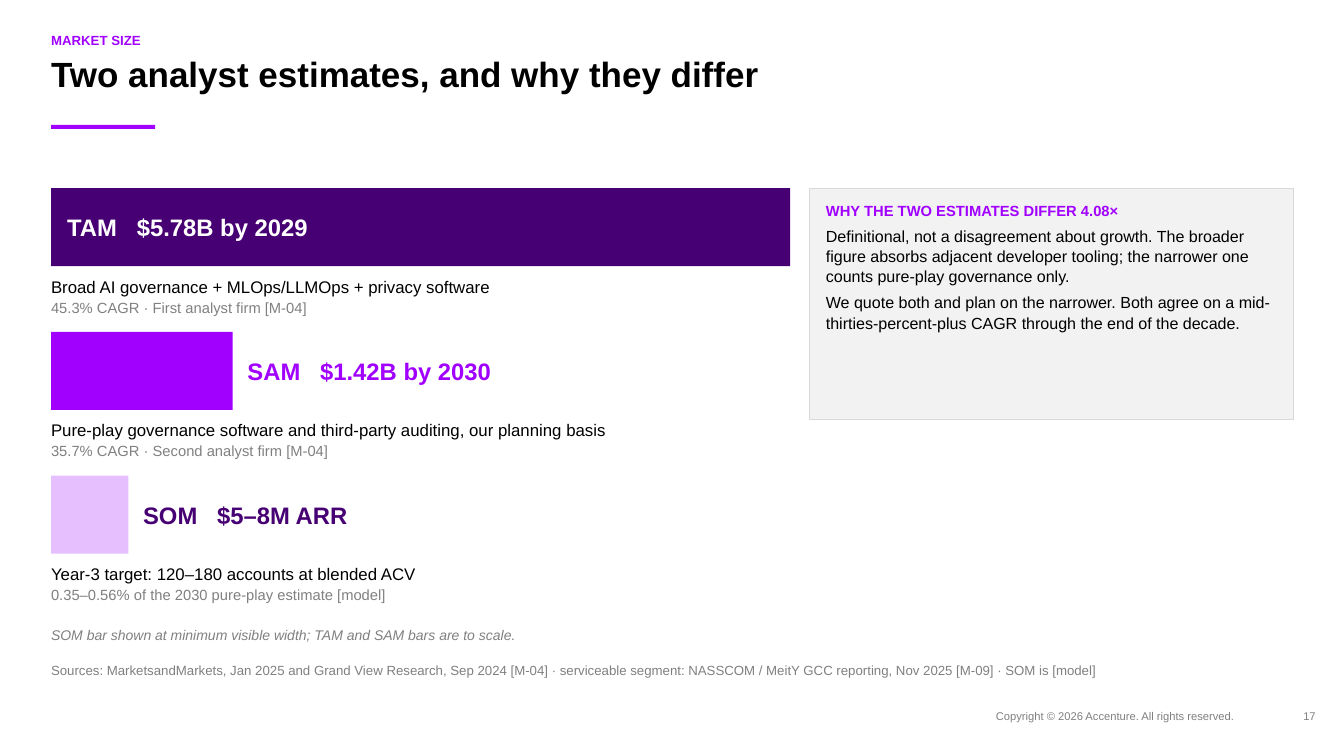
from lxml.etree import SubElement
from pptx import Presentation
from pptx.dml.color import RGBColor
from pptx.enum.shapes import MSO_SHAPE
from pptx.enum.text import MSO_ANCHOR, MSO_AUTO_SIZE, PP_ALIGN
from pptx.oxml.ns import qn
from pptx.util import Pt

LEFT, WIDE, FULL = 54.72, 792, 1330.56
TOP, STEP, HIGH = 201.6, 154.08, 83.52
VIOLET, PURPLE, LILAC = "A100FF", "460073", "E6BFFF"
BLACK, GREY, WHITE = "000000", "808080", "FFFFFF"

# Name, value, tab stop, bar width, bar colour, label colour, meaning, basis
TIERS = [
    ("TAM", "$5.78B by 2029", 74.6, WIDE, PURPLE, WHITE,
     "Broad AI governance + MLOps/LLMOps + privacy software",
     "45.3% CAGR · First analyst firm [M-04]"),
    ("SAM", "$1.42B by 2030", 77.9, WIDE * 1.42 / 5.78, VIOLET, VIOLET,
     "Pure-play governance software and third-party auditing, our planning basis",
     "35.7% CAGR · Second analyst firm [M-04]"),
    ("SOM", "$5–8M ARR", 79.3, 82.8, LILAC, PURPLE,
     "Year-3 target: 120–180 accounts at blended ACV",
     "0.35–0.56% of the 2030 pure-play estimate [model]"),
]


def paint(format, color):
    """Apply a hex colour to a fill or a font."""
    if hasattr(format, "solid"):
        format.solid()
        format.fore_color.rgb = RGBColor.from_string(color)
    else:
        format.color.rgb = RGBColor.from_string(color)


def setup(frame, pad=(0, 0, 0, 0), anchor=MSO_ANCHOR.TOP):
    """Set wrapping, insets (left, top, right, bottom) and anchor."""
    frame.word_wrap = True
    frame.auto_size = MSO_AUTO_SIZE.NONE
    frame.vertical_anchor = anchor
    frame.margin_left, frame.margin_top, frame.margin_right, frame.margin_bottom = map(Pt, pad)
    return frame


def write(frame, text, size=18, color=BLACK, bold=False, italic=False,
          align=PP_ALIGN.LEFT, lead=None, before=None, tab=None):
    """Add a paragraph, using the first one while the frame is empty."""
    para = frame.add_paragraph() if frame.text else frame.paragraphs[0]
    para.alignment = align
    if lead:
        para.line_spacing = lead
    if before:
        para.space_before = Pt(before)
    if tab:
        stops = SubElement(para._p.get_or_add_pPr(), qn("a:tabLst"))
        SubElement(stops, qn("a:tab"), pos=str(Pt(tab)), algn="l")
    run = para.add_run()
    run.text = text
    font = run.font
    font.name, font.size, font.bold, font.italic = "Arial", Pt(size), bold, italic
    paint(font, color)


def box(slide, x, y, w, h, **style):
    area = slide.shapes.add_textbox(Pt(x), Pt(y), Pt(w), Pt(h))
    return setup(area.text_frame, **style)


def block(slide, x, y, w, h, color, edge=None):
    shape = slide.shapes.add_shape(MSO_SHAPE.RECTANGLE, Pt(x), Pt(y), Pt(w), Pt(h))
    shape.shadow.inherit = False
    paint(shape.fill, color)
    if edge:
        paint(shape.line.fill, edge)
        shape.line.width = Pt(0.75)
    else:
        shape.line.fill.background()
    return shape


def head(slide):
    write(box(slide, LEFT, 34.56, FULL, 21.6), "MARKET SIZE",
          size=14.2, color=VIOLET, bold=True)
    title = slide.shapes.title
    title.left, title.top, title.width, title.height = map(Pt, (LEFT, 59.04, FULL, 68.4))
    write(setup(title.text_frame), "Two analyst estimates, and why they differ",
          size=37.5, bold=True, lead=0.95)
    block(slide, LEFT, 133.92, 111.6, 4.32, VIOLET)


def tier(slide, y, name, value, tab, width, fill, color, meaning, basis):
    """Draw a bar with its label, inside if the bar is full, and its caption."""
    bar = block(slide, LEFT, y, width, HIGH, fill)
    if width == WIDE:
        label = setup(bar.text_frame, pad=(17.28, 4.32, 8.64, 4.32), anchor=MSO_ANCHOR.MIDDLE)
    else:
        label = box(slide, LEFT + width + 15.84, y, 432, HIGH, anchor=MSO_ANCHOR.MIDDLE)
    write(label, f"{name}\t{value}", size=25.5, color=color, bold=True, tab=tab)
    note = box(slide, LEFT, y + 93.6, WIDE, 43.2)
    write(note, meaning, lead=1.04)
    write(note, basis, size=15.8, color=GREY, before=2)


def panel(slide):
    shape = block(slide, 867.6, TOP, 517.68, 247.68, "F2F2F2", edge="D9D9D9")
    frame = setup(shape.text_frame, pad=(17.28, 14.4, 17.28, 4.32))
    write(frame, "WHY THE TWO ESTIMATES DIFFER 4.08×", size=15.8, color=VIOLET, bold=True)
    for text in (
        "Definitional, not a disagreement about growth. The broader figure absorbs "
        "adjacent developer tooling; the narrower one counts pure-play governance only.",
        "We quote both and plan on the narrower. Both agree on a "
        "mid-thirties-percent-plus CAGR through the end of the decade.",
    ):
        write(frame, text, size=17.2, lead=1.06, before=6)


def foot(slide):
    write(box(slide, LEFT, 671.04, WIDE, 24.48),
          "SOM bar shown at minimum visible width; TAM and SAM bars are to scale.",
          size=15, color=GREY, italic=True)
    write(box(slide, LEFT, 709.92, FULL, 21.6),
          "Sources: MarketsandMarkets, Jan 2025 and Grand View Research, Sep 2024 [M-04] · "
          "serviceable segment: NASSCOM / MeitY GCC reporting, Nov 2025 [M-09] · SOM is [model]",
          size=14.2, color=GREY)
    write(box(slide, 1067.04, 759.6, 282.96, 17.28),
          "Copyright © 2026 Accenture. All rights reserved.", size=12, color=GREY)
    write(box(slide, 1366.56, 759.6, 43.2, 17.28), "17",
          size=12, color=GREY, align=PP_ALIGN.RIGHT)


def main():
    deck = Presentation()
    deck.slide_width, deck.slide_height = Pt(1440), Pt(810)
    slide = deck.slides.add_slide(deck.slide_layouts[5])
    head(slide)
    for row, data in enumerate(TIERS):
        tier(slide, TOP + row * STEP, *data)
    panel(slide)
    foot(slide)
    deck.save("out.pptx")


if __name__ == "__main__":
    main()
